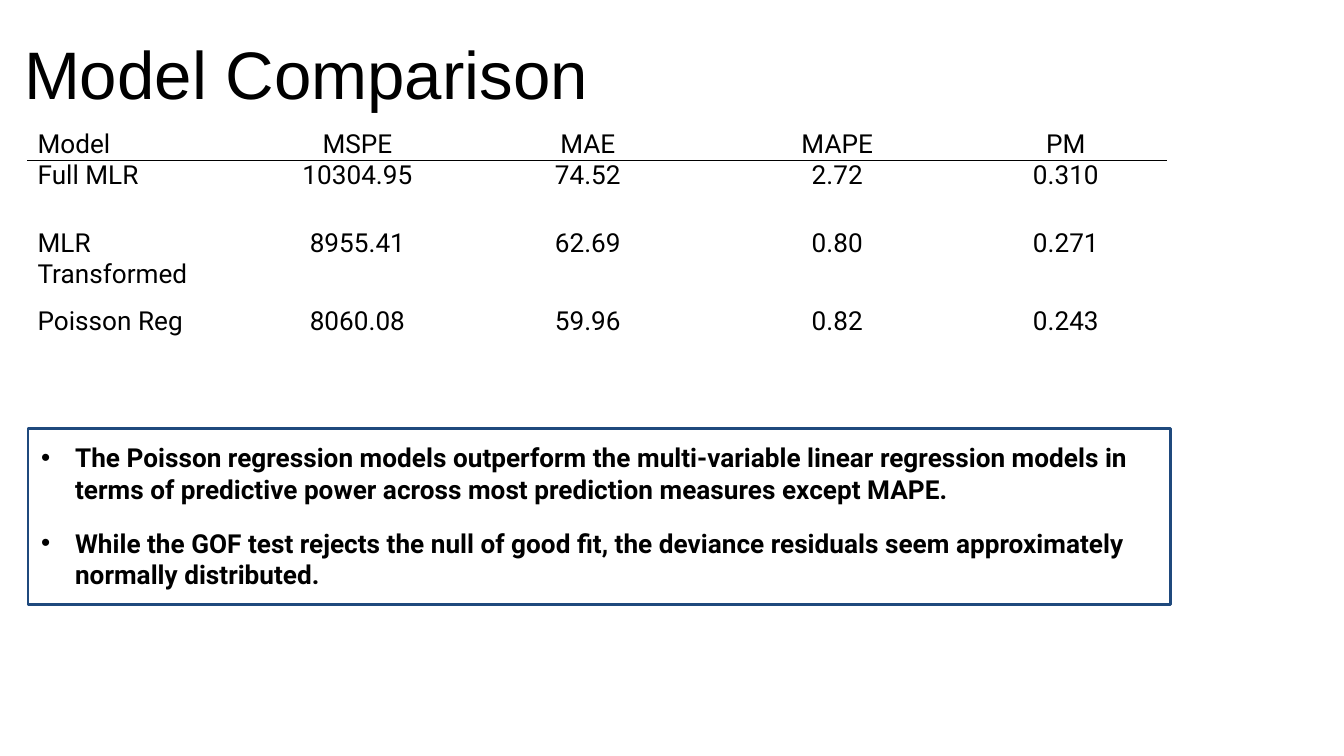
from lxml import etree
from pptx import Presentation
from pptx.dml.color import RGBColor
from pptx.enum.shapes import MSO_SHAPE
from pptx.enum.text import MSO_ANCHOR, MSO_AUTO_SIZE, PP_ALIGN
from pptx.oxml.ns import qn
from pptx.util import Cm, Pt

RECTANGLE = MSO_SHAPE.RECTANGLE
TOP, MIDDLE, BOTTOM = MSO_ANCHOR.TOP, MSO_ANCHOR.MIDDLE, MSO_ANCHOR.BOTTOM
LEFT, CENTER = PP_ALIGN.LEFT, PP_ALIGN.CENTER
GROW = MSO_AUTO_SIZE.SHAPE_TO_FIT_TEXT

COLORS = {"text": "000000", "frame": "1F497D"}
TITLE = "Model Comparison"
ROWS = [
    ("Model", "MSPE", "MAE", "MAPE", "PM"),
    ("Full MLR", "10304.95", "74.52", "2.72", "0.310"),
    ("", "", "", "", ""),
    ("MLR Transformed", "8955.41", "62.69", "0.80", "0.271"),
    ("Poisson Reg", "8060.08", "59.96", "0.82", "0.243"),
]
FINDINGS = [
    "The Poisson regression models outperform the multi-variable linear regression "
    "models in terms of predictive power across most prediction measures except MAPE.",
    "While the GOF test rejects the null of good fit, the deviance residuals seem "
    "approximately normally distributed.",
]
COLUMN_WIDTHS = [4.17, 4.11, 4.6, 4.83, 3.81]
ROW_HEIGHTS = [0.64, 0.64, 0.64, 1.47, 0.55]
MARGIN_LEFT = 0.53
RULE_SIDES = {0: "a:lnB", 1: "a:lnT"}

TITLE_FONT = {"name": "Arial", "size": Pt(36), "bold": False}
CELL_FONT = {"name": "Roboto", "size": Pt(14), "bold": False}
FINDING_FONT = {"name": "Roboto", "size": Pt(14), "bold": True}
CELL_SPACING = {"space_before": Pt(1.8), "space_after": Pt(1.8)}
FINDING_SPACING = {"space_before": Pt(6), "space_after": Pt(6), "alignment": LEFT}
CELL_MARGINS = {"margin_left": Cm(0.18), "margin_right": Cm(0.18),
                "margin_top": 0, "margin_bottom": 0}
FRAME_FORMAT = {"margin_left": Cm(0.25), "margin_right": Cm(0.25),
                "margin_top": Cm(0.25), "margin_bottom": Cm(0.25),
                "word_wrap": True, "vertical_anchor": TOP, "auto_size": GROW}


def apply(target, values):
    """Set every attribute in values on target."""
    for name, value in values.items():
        setattr(target, name, value)


def write(paragraph, text, font, layout):
    """Write one formatted run into a paragraph."""
    apply(paragraph, layout)
    run = paragraph.add_run()
    run.text = text
    apply(run.font, font)
    run.font.color.rgb = RGBColor.from_string(COLORS["text"])


def add_rule(cell, side):
    """Draw a thin line on one side of a cell."""
    line = etree.Element(qn(side), w=str(Pt(1)))
    fill = etree.SubElement(line, qn("a:solidFill"))
    etree.SubElement(fill, qn("a:srgbClr"), val=COLORS["text"])
    cell._tc.get_or_add_tcPr().insert(0, line)


def add_title(slide):
    """Place and format the slide title."""
    title = slide.shapes.title
    apply(title, {"left": Cm(0.2), "top": Cm(0.43), "width": Cm(23.77), "height": Cm(1.88)})
    title.text_frame.vertical_anchor = MIDDLE
    write(title.text_frame.paragraphs[0], TITLE, TITLE_FONT, {"alignment": LEFT})


def add_comparison(slide):
    """Add the table of prediction measures."""
    table = slide.shapes.add_table(
        len(ROWS), len(COLUMN_WIDTHS), Cm(MARGIN_LEFT), Cm(2.39),
        Cm(sum(COLUMN_WIDTHS)), Cm(sum(ROW_HEIGHTS))).table
    apply(table, {"first_row": False, "horz_banding": False})
    for column, width in zip(table.columns, COLUMN_WIDTHS):
        column.width = Cm(width)
    for row_index, values in enumerate(ROWS):
        table.rows[row_index].height = Cm(ROW_HEIGHTS[row_index])
        for column_index, value in enumerate(values):
            cell = table.cell(row_index, column_index)
            apply(cell, CELL_MARGINS)
            cell.vertical_anchor = TOP if row_index else BOTTOM
            cell.fill.background()
            paragraph = cell.text_frame.paragraphs[0]
            if value:
                alignment = CENTER if column_index else LEFT
                write(paragraph, value, CELL_FONT, {**CELL_SPACING, "alignment": alignment})
            else:
                etree.SubElement(paragraph._p, qn("a:endParaRPr"), sz="1000")
            if row_index in RULE_SIDES:
                add_rule(cell, RULE_SIDES[row_index])


def add_findings(slide):
    """Add the framed list of findings."""
    frame = slide.shapes.add_shape(
        RECTANGLE, Cm(MARGIN_LEFT), Cm(8.1), Cm(21.59), Cm(3.33))
    frame.shadow.inherit = False
    frame.fill.background()
    frame.line.color.rgb = RGBColor.from_string(COLORS["frame"])
    frame.line.width = Pt(1.5)
    text_frame = frame.text_frame
    apply(text_frame, FRAME_FORMAT)
    for index, finding in enumerate(FINDINGS):
        paragraph = text_frame.add_paragraph() if index else text_frame.paragraphs[0]
        write(paragraph, finding, FINDING_FONT, FINDING_SPACING)
        properties = paragraph._p.get_or_add_pPr()
        properties.set("marL", str(Cm(0.64)))
        properties.set("indent", str(-Cm(0.64)))
        etree.SubElement(properties, qn("a:buFont"), typeface="Arial")
        etree.SubElement(properties, qn("a:buChar"), char="•")


def main():
    """Build the model comparison slide."""
    presentation = Presentation()
    apply(presentation, {"slide_width": Cm(25.4), "slide_height": Cm(14.29)})
    slide = presentation.slides.add_slide(presentation.slide_layouts[5])
    add_title(slide)
    add_comparison(slide)
    add_findings(slide)
    presentation.save("out.pptx")


if __name__ == "__main__":
    main()
